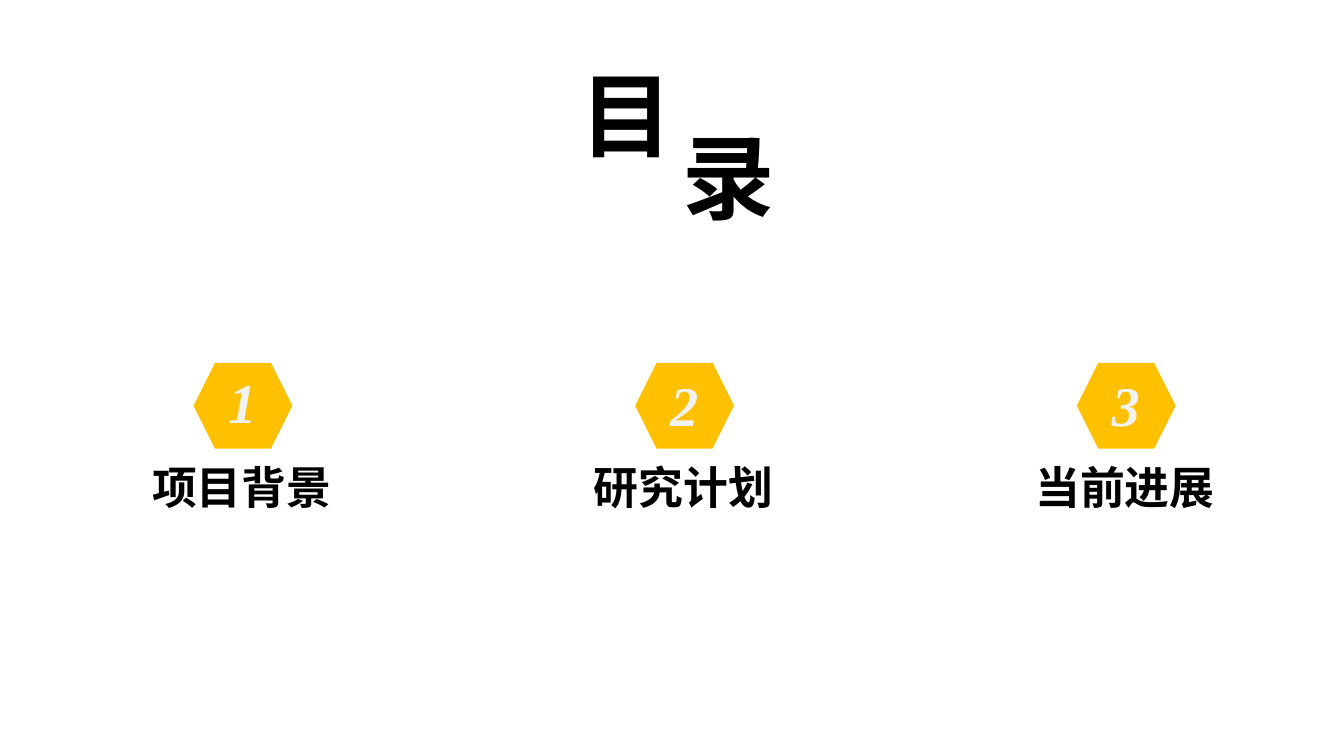
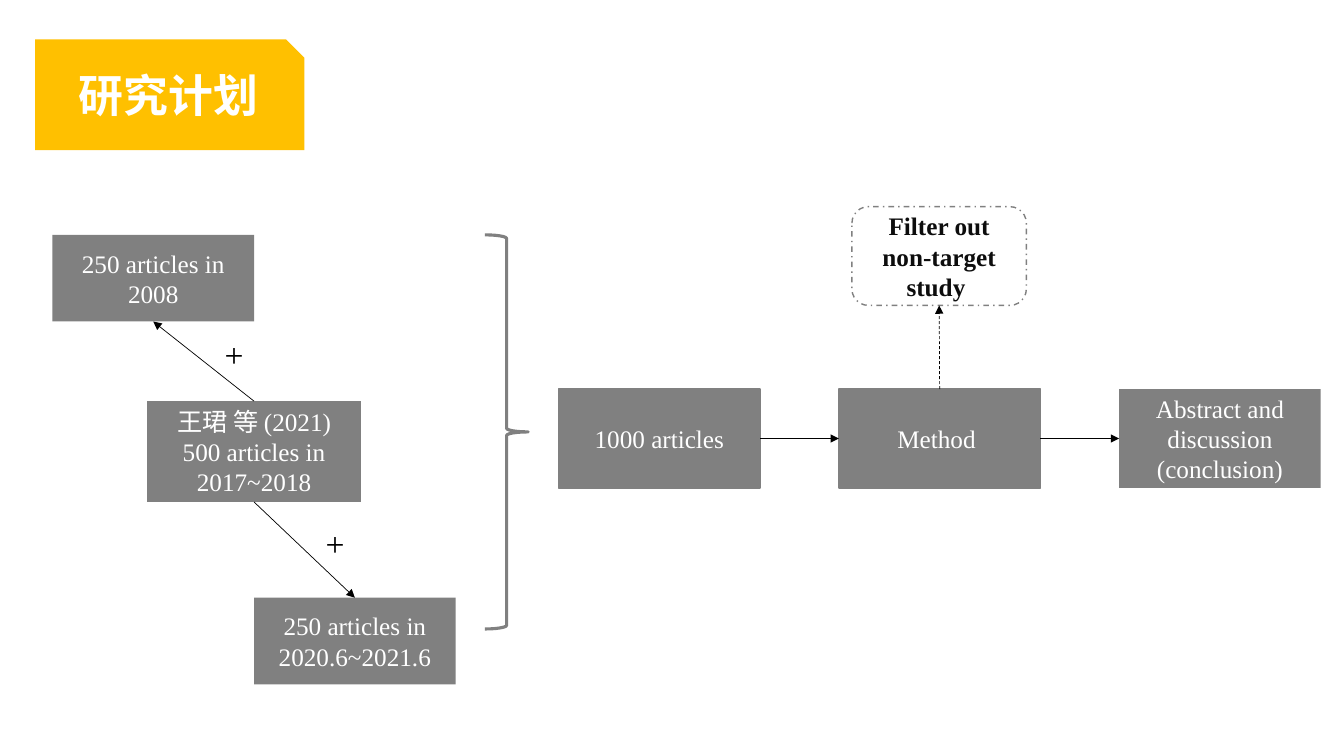
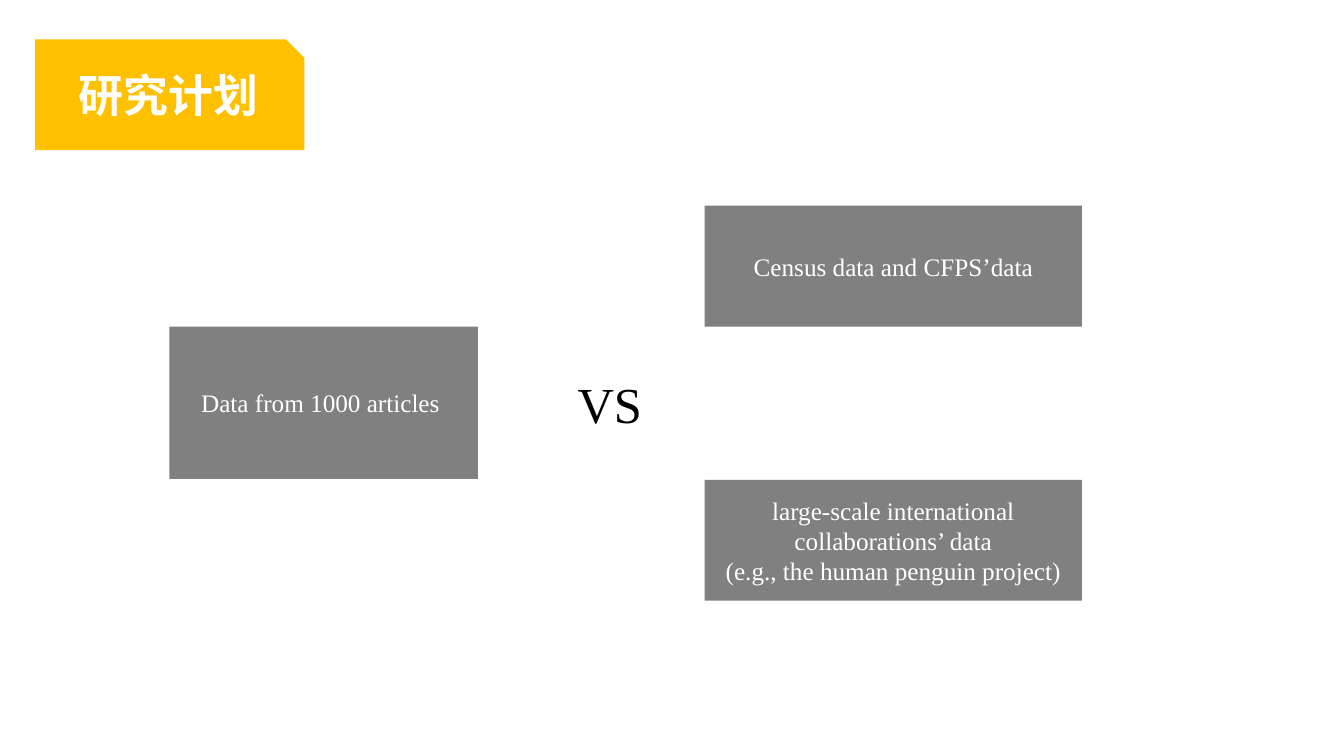
"""Builds the contents slide and the two research plan slides."""
from dataclasses import dataclass

from lxml import etree
from pptx import Presentation
from pptx.dml.color import RGBColor
from pptx.enum.dml import MSO_LINE
from pptx.enum.shapes import MSO_CONNECTOR, MSO_SHAPE
from pptx.enum.text import MSO_ANCHOR, MSO_AUTO_SIZE, PP_ALIGN
from pptx.oxml.ns import qn
from pptx.util import Inches, Pt

RECT, ROUNDED = MSO_SHAPE.RECTANGLE, MSO_SHAPE.ROUNDED_RECTANGLE
HEXAGON, SNIPPED = MSO_SHAPE.HEXAGON, MSO_SHAPE.SNIP_1_RECTANGLE
BRACE = MSO_SHAPE.RIGHT_BRACE
STRAIGHT = MSO_CONNECTOR.STRAIGHT
DASH, DASH_DOT = MSO_LINE.DASH, MSO_LINE.DASH_DOT
LEFT, CENTER = PP_ALIGN.LEFT, PP_ALIGN.CENTER
TOP_ANCHOR, MIDDLE = MSO_ANCHOR.TOP, MSO_ANCHOR.MIDDLE
FIT_SHAPE = MSO_AUTO_SIZE.SHAPE_TO_FIT_TEXT
TOP, SIDE_LEFT, BOTTOM, SIDE_RIGHT = range(4)

FONT = "Times New Roman"
GOLD, GREY, WHITE, BLACK = "FFC000", "808080", "FFFFFF", "000000"
PALE, INK = "F2F2F2", "0D0D0D"
TITLE_ONLY = 5


@dataclass
class Box:
    left: float
    top: float
    width: float
    height: float
    text: str = ""
    kind: int = RECT
    fill: str | None = GREY
    line: str | None = None
    weight: float = 1
    dash: int | None = None
    color: str = WHITE
    bold: bool = False

    def place(self) -> tuple:
        return tuple(map(Inches, (self.left, self.top, self.width, self.height)))


@dataclass
class Label:
    left: float
    top: float
    width: float
    height: float
    text: str
    size: float
    color: str = BLACK
    bold: bool = False
    italic: bool = False


def rgb(value: str) -> RGBColor:
    return RGBColor.from_string(value)


def write(tf, text: str, size: float, color: str, bold: bool, italic: bool, align) -> None:
    tf.text = text
    for p in tf.paragraphs:
        p.alignment = align
        p.font.name = FONT
        p.font.size = Pt(size)
        p.font.bold = bold
        p.font.italic = italic
        p.font.color.rgb = rgb(color)


def add_box(slide, box: Box):
    sp = slide.shapes.add_shape(box.kind, *box.place())
    sp.shadow.inherit = False
    if box.fill:
        sp.fill.solid()
        sp.fill.fore_color.rgb = rgb(box.fill)
    else:
        sp.fill.background()
    if box.line:
        sp.line.color.rgb = rgb(box.line)
        sp.line.width = Pt(box.weight)
        if box.dash:
            sp.line.dash_style = box.dash
    else:
        sp.line.fill.background()
    if box.text:
        sp.text_frame.vertical_anchor = MIDDLE
        write(sp.text_frame, box.text, 18, box.color, box.bold, False, CENTER)
    return sp


def fill_label(sp, label: Label) -> None:
    sp.left, sp.top = Inches(label.left), Inches(label.top)
    sp.width, sp.height = Inches(label.width), Inches(label.height)
    tf = sp.text_frame
    tf.word_wrap = False
    tf.auto_size = FIT_SHAPE
    tf.vertical_anchor = TOP_ANCHOR
    write(tf, label.text, label.size, label.color, label.bold, label.italic, LEFT)


def add_label(slide, label: Label) -> None:
    fill_label(slide.shapes.add_textbox(0, 0, 0, 0), label)


def add_arrow(slide, start, start_side: int, end, end_side: int, dash=None) -> None:
    line = slide.shapes.add_connector(STRAIGHT, 0, 0, 0, 0)
    line.begin_connect(start, start_side)
    line.end_connect(end, end_side)
    line.line.color.rgb = rgb(BLACK)
    line.line.width = Pt(0.5)
    if dash:
        line.line.dash_style = dash
    ln = line.line._get_or_add_ln()
    etree.SubElement(ln, qn("a:tailEnd"), type="triangle")
    etree.SubElement(line.element.spPr, qn("a:effectLst"))


def add_slide(prs, title: Label):
    slide = prs.slides.add_slide(prs.slide_layouts[TITLE_ONLY])
    fill_label(slide.shapes.title, title)
    return slide


def add_plan_slide(prs):
    slide = add_slide(prs, Label(0.68, 0.62, 2, 0.64, "研究计划", 32, WHITE, True))
    banner = add_box(slide, Box(0.35, 0.39, 2.67, 1.1, kind=SNIPPED, fill=GOLD))
    slide.shapes.title.element.addprevious(banner.element)
    return slide


def build_contents(prs) -> None:
    slide = add_slide(prs, Label(5.66, 0.53, 1.13, 1.21, "目", 66, bold=True))
    add_label(slide, Label(6.67, 1.14, 1.13, 1.21, "录", 66, bold=True))
    sections = (("项目背景", 3.6), ("研究计划", 3.63), ("当前进展", 3.63))
    for i, (name, number_top) in enumerate(sections):
        left = 1.92 + 4.38 * i
        add_box(slide, Box(left, 3.6, 0.98, 0.85, kind=HEXAGON, fill=GOLD))
        add_label(slide, Label(left + 0.25, number_top, 0.48, 0.77, str(i + 1), 40, PALE, True, True))
        add_label(slide, Label(left - 0.51, 4.51, 2, 0.64, name, 32, bold=True))


def build_workflow(prs) -> None:
    slide = add_plan_slide(prs)
    base = add_box(slide, Box(1.46, 3.98, 2.12, 1, "王珺 等 (2021)\n500 articles in 2017~2018"))
    earlier = add_box(slide, Box(0.52, 2.33, 2, 0.86, "250 articles in 2008"))
    later = add_box(slide, Box(2.52, 5.93, 2, 0.86, "250 articles in 2020.6~2021.6"))
    add_arrow(slide, base, TOP, earlier, BOTTOM)
    add_arrow(slide, base, BOTTOM, later, TOP)
    for left, top in ((2.13, 3.26), (3.13, 5.14)):
        add_label(slide, Label(left, top, 0.39, 0.5, "+", 24))
    add_box(slide, Box(4.81, 2.33, 0.43, 3.91, kind=BRACE, fill=None, line=GREY, weight=2.25))

    steps = (("1000 articles", GREY), ("Method ", GREY),
             ("Abstract and discussion (conclusion)", None))
    articles, method, conclusion = [
        add_box(slide, Box(5.54 + 2.78 * i, 3.86, 2, 0.98, text, line=line))
        for i, (text, line) in enumerate(steps)]
    removed = add_box(slide, Box(8.45, 2.05, 1.73, 0.98, "Filter out non-target study ", ROUNDED,
                                 None, GREY, dash=DASH_DOT, color=INK, bold=True))
    add_arrow(slide, articles, SIDE_RIGHT, method, SIDE_LEFT)
    add_arrow(slide, method, SIDE_RIGHT, conclusion, SIDE_LEFT)
    add_arrow(slide, method, TOP, removed, BOTTOM, DASH)


def build_comparison(prs) -> None:
    slide = add_plan_slide(prs)
    add_box(slide, Box(1.68, 3.24, 3.06, 1.51, "Data from 1000 articles "))
    add_label(slide, Label(5.63, 3.65, 0.85, 0.71, "VS", 36))
    sources = ((2.04, "Census data and CFPS’data"),
               (4.76, "large-scale international collaborations’ data\n"
                      "(e.g., the human penguin project)"))
    for top, text in sources:
        add_box(slide, Box(6.99, top, 3.74, 1.2, text))


def main() -> None:
    prs = Presentation()
    prs.slide_width, prs.slide_height = Inches(13.33), Inches(7.5)
    build_contents(prs)
    build_workflow(prs)
    build_comparison(prs)
    prs.save("out.pptx")


if __name__ == "__main__":
    main()
